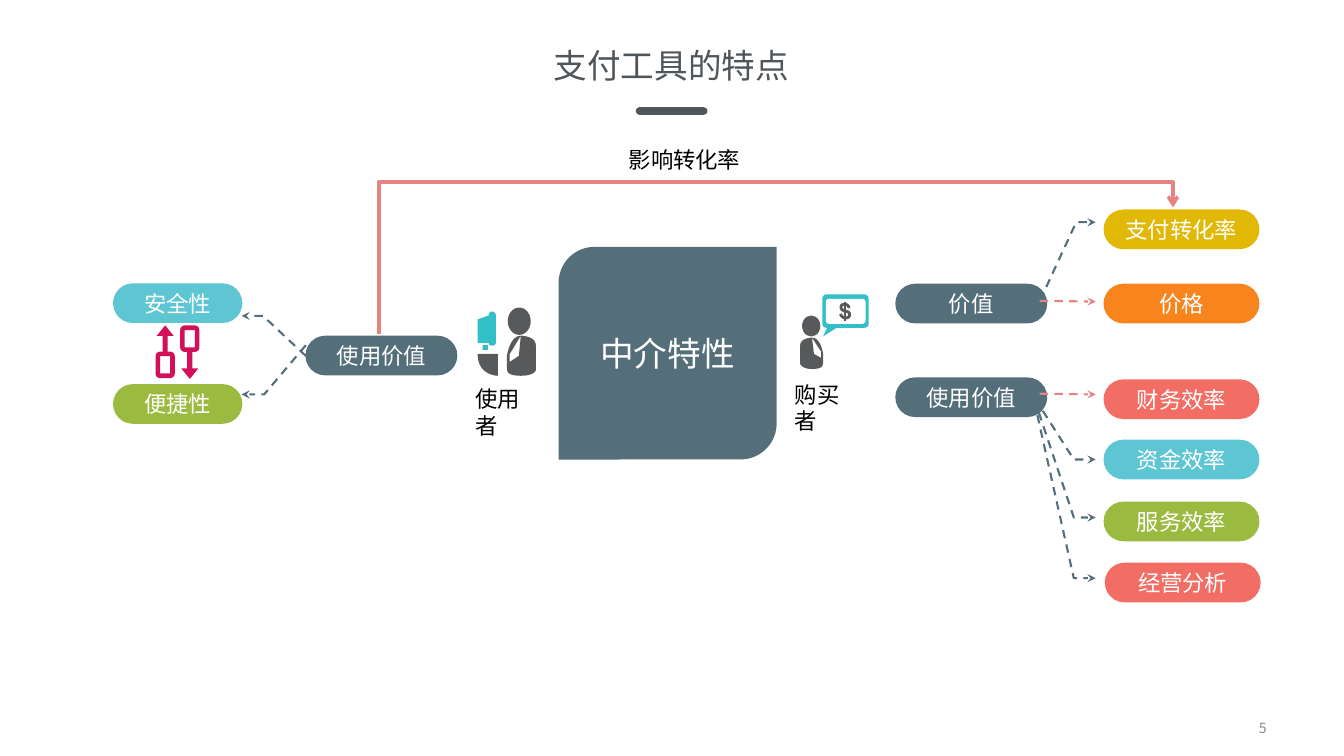
import pptx
import pptx.util
import pptx.dml.color
import pptx.enum.dml
import pptx.enum.shapes
import pptx.enum.text
import pptx.oxml.ns
from lxml import etree

Cm, Pt = pptx.util.Cm, pptx.util.Pt
RGB = pptx.dml.color.RGBColor
KIND = pptx.enum.shapes.MSO_SHAPE
WIRE = pptx.enum.shapes.MSO_CONNECTOR
ALIGN = pptx.enum.text.PP_ALIGN
MID = pptx.enum.text.MSO_ANCHOR.MIDDLE
DASH = pptx.enum.dml.MSO_LINE.DASH
qn = pptx.oxml.ns.qn

FONT = "Noto Sans CJK SC"
WHITE = RGB(0xFF, 0xFF, 0xFF)
BLACK = RGB(0, 0, 0)
GREY = RGB(0x50, 0x55, 0x5A)
PALE = RGB(0x89, 0x89, 0x89)
SLATE = RGB(0x54, 0x6E, 0x7A)
DARK = RGB(0x58, 0x59, 0x5B)
TEAL = RGB(0x33, 0xBF, 0xC7)
SKY = RGB(0x5E, 0xC6, 0xD3)
GREEN = RGB(0x9B, 0xBB, 0x40)
GOLD = RGB(0xE1, 0xB8, 0x05)
ORANGE = RGB(0xF8, 0x84, 0x1D)
CORAL = RGB(0xF2, 0x6D, 0x64)
ROSE = RGB(0xE6, 0x82, 0x82)
PINK = RGB(0xD4, 0x0F, 0x5A)


class Page:
    """Holds the slide and draws each kind of element; lengths are in cm."""

    def __init__(self, slide, font):
        self.shapes = slide.shapes
        self.font = font

    def add_run(self, frame, text, size, color, align=ALIGN.CENTER):
        para = frame.paragraphs[0]
        para.alignment = align
        run = para.add_run()
        run.text = text
        run.font.size = Pt(size)
        run.font.name = self.font
        run.font.color.rgb = color
        etree.SubElement(run._r.get_or_add_rPr(), qn("a:ea"), typeface=self.font)

    def title(self, text, box):
        item = self.shapes.title
        item.left, item.top, item.width, item.height = map(Cm, box)
        item.text_frame.vertical_anchor = MID
        self.add_run(item.text_frame, text, 24, GREY)

    def label(self, text, box, size=16, color=BLACK, align=ALIGN.LEFT):
        frame = self.shapes.add_textbox(*map(Cm, box)).text_frame
        frame.word_wrap = False
        self.add_run(frame, text, size, color, align)

    def block(self, kind, box, fill=None, adj=(), text="", size=16):
        item = self.shapes.add_shape(kind, *map(Cm, box))
        for i, val in enumerate(adj):
            item.adjustments[i] = val
        self.paint(item, fill)
        if text:
            item.text_frame.word_wrap = True
            item.text_frame.vertical_anchor = MID
            self.add_run(item.text_frame, text, size, WHITE)
        return item

    def pill(self, text, x, y, width, fill):
        self.block(KIND.ROUNDED_RECTANGLE, (x, y, width, 1), fill, [0.5], text)

    def paint(self, item, fill):
        item.shadow.inherit = False
        item.line.fill.background()
        if fill is None:
            item.fill.background()
        else:
            item.fill.solid()
            item.fill.fore_color.rgb = fill

    def stroke(self, item, color, width, dash=None, tail=None):
        item.line.color.rgb = color
        item.line.width = Pt(width)
        if dash:
            item.line.dash_style = dash
        ln = item._element.spPr.find(qn("a:ln"))
        if tail:
            etree.SubElement(ln, qn("a:tailEnd"), type=tail)
        return ln

    def wire(self, start, end, color, width, dash=None, tail=None, kind=WIRE.STRAIGHT):
        item = self.shapes.add_connector(kind, *map(Cm, (*start, *end)))
        ln = self.stroke(item, color, width, dash, tail)
        etree.SubElement(item._element.spPr, qn("a:effectLst"))
        return item, ln

    def outline(self, start, steps, fill=None):
        """Steps are (x, y) for a straight edge or six numbers for a curve."""
        dots = [start]
        for step in steps:
            if len(step) == 2:
                dots.append(step)
                continue
            ctrl = [dots[-1], step[:2], step[2:4], step[4:]]
            for i in range(1, 11):
                t = i / 10
                mix = ((1 - t) ** 3, 3 * t * (1 - t) ** 2, 3 * t * t * (1 - t), t ** 3)
                dots.append(tuple(sum(m * c[k] for m, c in zip(mix, ctrl)) for k in (0, 1)))
        dots = [(Cm(x), Cm(y)) for x, y in dots]
        pen = self.shapes.build_freeform(*dots[0])
        pen.add_line_segments(dots[1:], close=fill is not None)
        item = pen.convert_to_shape()
        self.paint(item, fill)
        return item

    def branch(self, start, *steps):
        self.stroke(self.outline(start, steps), SLATE, 1.5, DASH, "stealth")

    def loop(self, start, end, rise):
        """Elbow arrow leaving upward, then across and down to the end."""
        mid_x, mid_y = (start[0] + end[0]) / 2, (start[1] + end[1]) / 2
        run, drop = (end[0] - start[0]) / 2, (start[1] - end[1]) / 2
        item, _ = self.wire((mid_x + drop, mid_y + run), (mid_x - drop, mid_y - run),
                            ROSE, 2.5, tail="arrow", kind=WIRE.ELBOW)
        props = item._element.spPr
        props.find(qn("a:xfrm")).set("rot", str(90 * 60000))
        geom = props.find(qn("a:prstGeom"))
        guides = geom.find(qn("a:avLst"))
        if guides is None:
            guides = etree.SubElement(geom, qn("a:avLst"))
        etree.SubElement(guides, qn("a:gd"), name="adj1", fmla=f"val {rise * 1000}")


def main():
    deck = pptx.Presentation()
    deck.slide_width, deck.slide_height = Cm(33.88), Cm(19.05)
    page = Page(deck.slides.add_slide(deck.slide_layouts[5]), FONT)

    # Heading and page number
    page.title("支付工具的特点", (1.42, 0.74, 31.01, 1.8))
    _, bar = page.wire((16.13, 2.8), (17.73, 2.8), GREY, 6)
    bar.set("cap", "rnd")
    page.label("5", (31.24, 18, 1.19, 0.6), 10, PALE, ALIGN.CENTER)

    # Centre
    page.block(KIND.ROUND_2_DIAG_RECTANGLE, (14.08, 6.22, 5.5, 5.36), SLATE,
               [0.17, 0], "中介特性", 24)

    # Buyer with price bubble
    page.block(KIND.ROUNDED_RECTANGLE, (20.73, 7.42, 1.17, 0.84), TEAL, [0.12])
    page.outline((20.88, 8.2), [(20.75, 8.48), (21.18, 8.2)], TEAL)
    page.block(KIND.ROUNDED_RECTANGLE, (20.82, 7.53, 1, 0.63), WHITE, [0.12])
    curl = page.outline((21.41, 7.76), [(21.38, 7.64, 21.2, 7.64, 21.2, 7.74),
                                        (21.2, 7.88, 21.42, 7.8, 21.42, 7.93),
                                        (21.42, 8.04, 21.22, 8.05, 21.19, 7.91)])
    page.stroke(curl, DARK, 2)
    page.wire((21.31, 7.6), (21.31, 8.1), DARK, 1.25)
    page.outline((20.47, 8.51), [
        (20.7, 8.86), (20.7, 9.02), (20.52, 8.92), (20.47, 8.51),
        (20.47, 8.51, 20.17, 8.51, 20.17, 8.71), (20.17, 9.17),
        (20.17, 9.17, 20.22, 9.3, 20.47, 9.3), (20.73, 9.3, 20.75, 9.22, 20.75, 9.12),
        (20.75, 8.92), (20.75, 8.92, 20.7, 8.51, 20.47, 8.51)], DARK)
    page.block(KIND.OVAL, (20.22, 7.95, 0.46, 0.53), DARK)
    page.label("购买者", (19.79, 9.47, 2.18, 0.94))

    # User with megaphone
    page.block(KIND.OVAL, (12.8, 7.75, 0.58, 0.69), DARK)
    page.outline((13.13, 8.46), [
        (13.08, 8.97), (12.85, 9.12), (12.85, 8.92), (13.13, 8.46),
        (12.85, 8.46, 12.78, 8.97, 12.78, 8.97), (12.78, 9.27),
        (12.78, 9.37, 12.8, 9.47, 13.13, 9.47), (13.49, 9.47, 13.51, 9.32, 13.51, 9.32),
        (13.51, 8.71), (13.51, 8.46, 13.13, 8.46, 13.13, 8.46)], DARK)
    page.outline((12.55, 9.47), [(12.55, 8.92), (12.04, 8.92),
                                 (12.04, 9.47, 12.55, 9.47, 12.55, 9.47)], DARK)
    page.block(KIND.RECTANGLE, (12.17, 8.69, 0.13, 0.13), TEAL)
    page.outline((12.04, 8.64), [
        (12.32, 8.64), (12.32, 8.69, 12.36, 8.71, 12.4, 8.71),
        (12.45, 8.71, 12.5, 8.69, 12.5, 8.64), (12.5, 7.95),
        (12.5, 7.89, 12.45, 7.85, 12.4, 7.85),
        (12.36, 7.85, 12.32, 7.89, 12.32, 7.95), (12.04, 8.05)], TEAL)
    page.label("使用者", (11.74, 9.58, 2.18, 0.94))

    # Pills
    for text, x, y, width, fill in [
            ("使用价值", 7.7, 8.46, 3.83, SLATE), ("安全性", 2.85, 7.14, 3.26, SKY),
            ("便捷性", 2.85, 9.68, 3.26, GREEN), ("使用价值", 22.57, 9.51, 3.83, SLATE),
            ("价值", 22.57, 7.15, 3.83, SLATE), ("支付转化率", 27.82, 5.28, 3.93, GOLD),
            ("价格", 27.82, 7.15, 3.93, ORANGE), ("财务效率", 27.82, 9.56, 3.93, CORAL),
            ("资金效率", 27.82, 11.08, 3.93, SKY), ("服务效率", 27.82, 12.64, 3.93, GREEN),
            ("经营分析", 27.85, 14.18, 3.93, CORAL)]:
        page.pill(text, x, y, width, fill)

    # Exchange arrows between the left pills
    for kind, x, head, box in [(KIND.UP_ARROW, 3.95, 8.2, 8.92),
                               (KIND.DOWN_ARROW, 4.57, 8.86, 8.26)]:
        page.block(kind, (x, head, 0.43, 0.69), PINK, [0.3, 0.62])
        ring = page.block(KIND.ROUNDED_RECTANGLE, (x + 0.03, box, 0.37, 0.55), adj=[0.15])
        page.stroke(ring, PINK, 3.25)

    # Branches
    for start, x, y, end in [
            ((7.71, 8.97), 6.63, 7.96, 6.09), ((7.71, 8.7), 6.66, 9.94, 6.09),
            ((26.22, 7.57), 27.13, 5.6, 27.62), ((26.09, 10.04), 27.07, 11.58, 27.62),
            ((26.07, 10.04), 27.07, 13.04, 27.62), ((26.07, 10.1), 27.07, 14.57, 27.62)]:
        page.branch(start, (x, y), (end, y))
    for y in (7.58, 9.92):
        page.wire((26.21, y), (27.62, y + 0.02), ROSE, 1.5, DASH, "stealth")

    # Conversion loop
    page.loop((9.55, 8.41), (29.57, 5.23), 120)
    page.label("影响转化率", (15.6, 3.56, 3.33, 0.94))

    deck.save("out.pptx")


if __name__ == "__main__":
    main()
